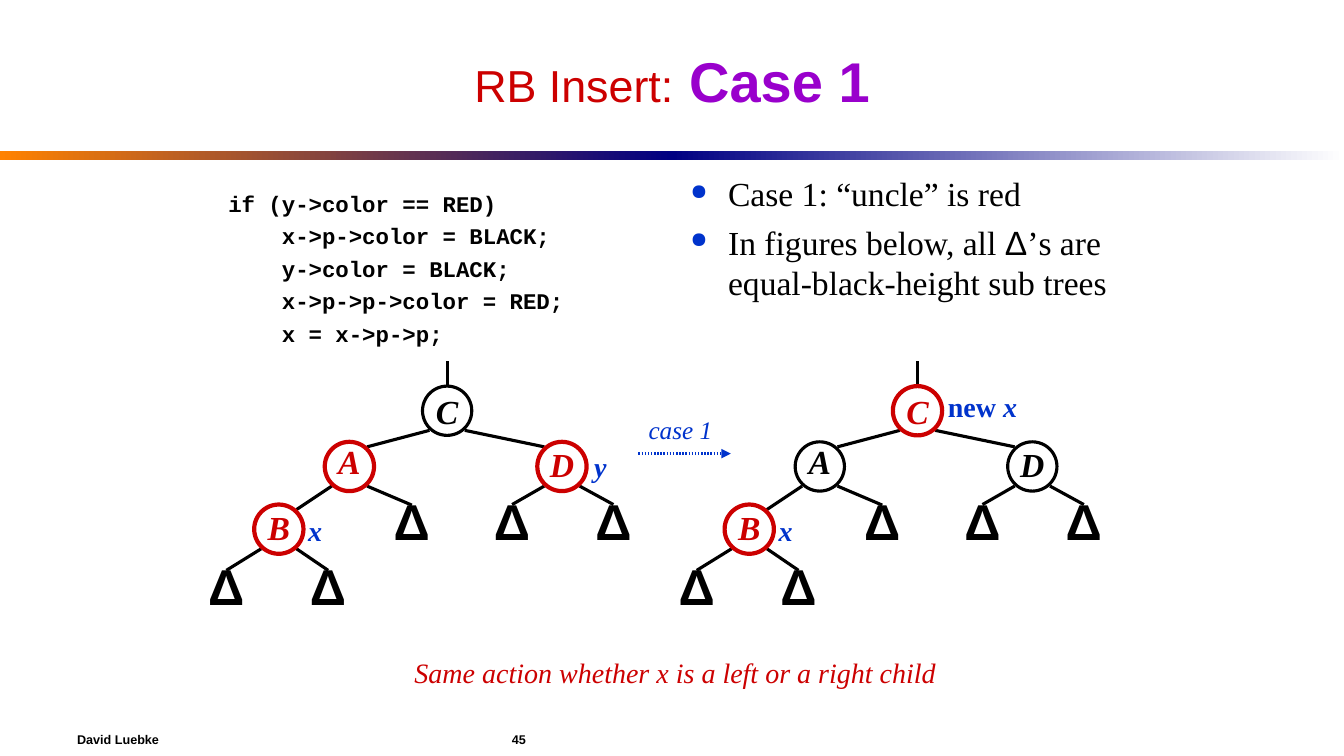
from dataclasses import dataclass

import lxml.etree
import pptx
import pptx.dml.color
import pptx.enum.shapes
import pptx.enum.text
import pptx.oxml.ns
import pptx.util

Pt = pptx.util.Pt
RGB = pptx.dml.color.RGBColor.from_string
ALIGN = pptx.enum.text.PP_ALIGN
MIDDLE = pptx.enum.text.MSO_ANCHOR.MIDDLE
SHAPE = pptx.enum.shapes.MSO_SHAPE


@dataclass(frozen=True)
class Theme:
    black: str = "000000"
    red: str = "CC0000"
    blue: str = "0033CC"
    purple: str = "9900CC"
    orange: str = "FF8200"
    navy: str = "000082"
    white: str = "FFFFFF"
    sans: str = "Arial"
    serif: str = "Times New Roman"
    mono: str = "Courier New"
    title: int = 32
    title_case: int = 40
    body: int = 24
    subtree: int = 36
    label: int = 20
    arrow: int = 18
    code: int = 16
    footer: int = 9


T = Theme()
DIAMETER = 35.2
SUBTREE = "Δ"
CODE = [
    "if (y->color == RED)",
    "    x->p->color = BLACK;",
    "    y->color = BLACK;",
    "    x->p->p->color = RED;",
    "    x = x->p->p;",
]
BULLETS = [
    [("Case 1: “uncle” is red", T.serif)],
    [("In figures below, all ", T.serif), (SUBTREE, T.sans),
     ("’s are equal-black-height sub trees", T.serif)],
]
# Node centre from the top of the root's stem, and line spacing of its letter
NODES = {
    "C": (0, 35.4, 1.0),
    "A": (-69.8, 75.2, 0.7),
    "D": (82, 75.2, 0.9),
    "B": (-120.2, 120, 0.9),
}
EDGES = [("C", "A"), ("C", "D"), ("A", "B")]
# Parent and centre of each equal-height subtree
SUBTREES = [("A", -25.2, 120.4), ("D", 46.4, 120), ("D", 118.8, 120),
            ("B", -157.7, 167), ("B", -85, 167)]


def points(*values):
    return [Pt(v) for v in values]


def add_xml(parent, tag, **attributes):
    return lxml.etree.SubElement(parent, pptx.oxml.ns.qn(tag), attributes)


def set_font(font, name, size, color, bold=False, italic=False):
    font.name, font.size = name, Pt(size)
    font.bold, font.italic = bold, italic
    font.color.rgb = RGB(color)


def add_text(s, box, wrap=True):
    tf = s.shapes.add_textbox(*points(*box)).text_frame
    tf.word_wrap = wrap
    return tf


def add_label(s, x, y, runs, size, color, bold=False, width=80):
    """Centre (text, italic) runs on the point x, y."""
    tf = add_text(s, (x - width / 2, y - 16, width, 32), wrap=False)
    tf.vertical_anchor = MIDDLE
    p = tf.paragraphs[0]
    p.alignment = ALIGN.CENTER
    set_font(p.font, T.serif, size, color, bold)
    for text, italic in runs:
        r = p.add_run()
        r.text, r.font.italic = text, italic


def add_line(s, x1, y1, x2, y2, color=T.black):
    line = s.shapes.add_connector(
        pptx.enum.shapes.MSO_CONNECTOR.STRAIGHT, *points(x1, y1, x2, y2))
    line.line.color.rgb = RGB(color)
    line.line.width = Pt(2.25)
    add_xml(line._element.spPr, "a:effectLst")
    return line


def add_node(s, x, y, text, color, spacing):
    """Centre a ringed letter, or a bare subtree symbol, on x, y."""
    sp = s.shapes.add_shape(SHAPE.OVAL, *points(
        x - DIAMETER / 2, y - DIAMETER / 2, DIAMETER, DIAMETER))
    sp.shadow.inherit = False
    tf = sp.text_frame
    tf.word_wrap, tf.vertical_anchor = False, MIDDLE
    p = tf.paragraphs[0]
    p.text, p.alignment, p.line_spacing = text, ALIGN.CENTER, spacing
    if text == SUBTREE:
        sp.fill.background()
        sp.line.fill.background()
        set_font(p.font, T.sans, T.subtree, color, bold=True)
    else:
        sp.fill.solid()
        sp.fill.fore_color.rgb = RGB(T.white)
        sp.line.color.rgb = RGB(color)
        sp.line.width = Pt(3 if color == T.red else 2.25)
        set_font(p.font, T.serif, T.body, color, bold=True, italic=True)


def add_tree(s, x, y, red, labels):
    """Draw the tree under x, y; labels are (node, dx, dy, runs)."""
    add_line(s, x, y, x, y + 18)
    for parent, child in EDGES:
        px, py, _ = NODES[parent]
        cx, cy, _ = NODES[child]
        side = 12.6 if cx > px else -12.6
        add_line(s, x + px + side, y + py + 14, x + cx - side, y + cy - 14)
    for parent, cx, cy in SUBTREES:
        px, py, _ = NODES[parent]
        side = 12.6 if cx > px else -12.6
        add_line(s, x + px + side, y + py + 14, x + cx, y + cy - DIAMETER / 2)
        add_node(s, x + cx, y + cy, SUBTREE, T.black, 0.6)
    for name, (cx, cy, spacing) in NODES.items():
        add_node(s, x + cx, y + cy, name, T.red if name in red else T.black, spacing)
    for name, dx, dy, runs in labels:
        cx, cy, _ = NODES[name]
        add_label(s, x + cx + dx, y + cy + dy, runs, T.label, T.blue, bold=True)


def add_title(s, left, top, width, height):
    sp = s.shapes.title
    sp.left, sp.top, sp.width, sp.height = points(left, top, width, height)
    tf = sp.text_frame
    tf.auto_size = pptx.enum.text.MSO_AUTO_SIZE.NONE
    tf.vertical_anchor = MIDDLE
    p = tf.paragraphs[0]
    p.alignment = ALIGN.CENTER
    for text, size, color, bold in [("RB Insert:", T.title, T.red, False),
                                    (" ", T.title_case, T.red, False),
                                    ("Case 1", T.title_case, T.purple, True)]:
        r = p.add_run()
        r.text = text
        set_font(r.font, T.sans, size, color, bold)


def add_rule(s, left, top, width, height):
    half = width / 2
    for i, colors in enumerate([(T.orange, T.navy), (T.navy, T.white)]):
        sp = s.shapes.add_shape(SHAPE.RECTANGLE, *points(left + i * half, top, half, height))
        sp.shadow.inherit = False
        sp.line.fill.background()
        sp.fill.gradient()
        sp.fill.gradient_angle = 0
        for stop, color in zip(sp.fill.gradient_stops, colors):
            stop.color.rgb = RGB(color)


def add_code(s, *box):
    tf = add_text(s, box)
    for i, line in enumerate(CODE):
        p = tf.add_paragraph() if i else tf.paragraphs[0]
        p.text, p.space_before = line, Pt(4 if i else 0)
        set_font(p.font, T.mono, T.code, T.black, bold=True)


def add_bullets(s, *box):
    tf = add_text(s, box)
    for i, runs in enumerate(BULLETS):
        p = tf.add_paragraph() if i else tf.paragraphs[0]
        pPr = p._p.get_or_add_pPr()
        pPr.set("marL", str(Pt(27)))
        pPr.set("indent", str(-Pt(27)))
        add_xml(add_xml(pPr, "a:buClr"), "a:srgbClr", val=T.blue)
        add_xml(pPr, "a:buSzPct", val="65000")
        add_xml(pPr, "a:buChar", char="●")
        p.space_before = Pt(6 if i else 0)
        set_font(p.font, T.serif, T.body, T.black)
        for text, name in runs:
            r = p.add_run()
            r.text, r.font.name = text, name


def add_case_arrow(s, left, y, width):
    line = add_line(s, left, y, left + width, y, T.blue)
    ln = line.line._get_or_add_ln()
    add_xml(add_xml(ln, "a:custDash"), "a:ds", d="50000", sp="50000")
    add_xml(ln, "a:tailEnd", type="triangle")
    add_label(s, left + width / 2 - 3, y - 17, [("case 1", True)], T.arrow, T.blue)


def add_footer(s, *box):
    tf = add_text(s, box)
    tf.vertical_anchor = MIDDLE
    p = tf.paragraphs[0]
    p.text = "David Luebke\t45"
    tabs = add_xml(p._p.get_or_add_pPr(), "a:tabLst")
    add_xml(tabs, "a:tab", pos=str(Pt(310.5)), algn="l")
    set_font(p.font, T.sans, T.footer, T.black, bold=True)


def main():
    prs = pptx.Presentation()
    prs.slide_width, prs.slide_height = points(960, 540)
    s = prs.slides.add_slide(prs.slide_layouts[5])
    add_rule(s, 0, 108, 960, 6)
    add_title(s, 48, 18, 864, 78)
    add_code(s, 156, 132, 318, 132)
    add_bullets(s, 486, 120, 318, 138)
    x_label = ("B", 26, 1, [("x", True)])
    add_tree(s, 319.4, 258, "ABD", [x_label, ("D", 27.5, 0, [("y", True)])])
    add_tree(s, 655.4, 258, "BC",
             [x_label, ("C", 46.5, -3.5, [("new", False), (" x", True)])])
    add_case_arrow(s, 456, 324, 66)
    add_label(s, 482.4, 480, [("Same action whether x is a left or a right child", True)],
              T.label, T.red, width=420)
    add_footer(s, 48, 516, 864, 24)
    prs.save("out.pptx")


if __name__ == "__main__":
    main()
